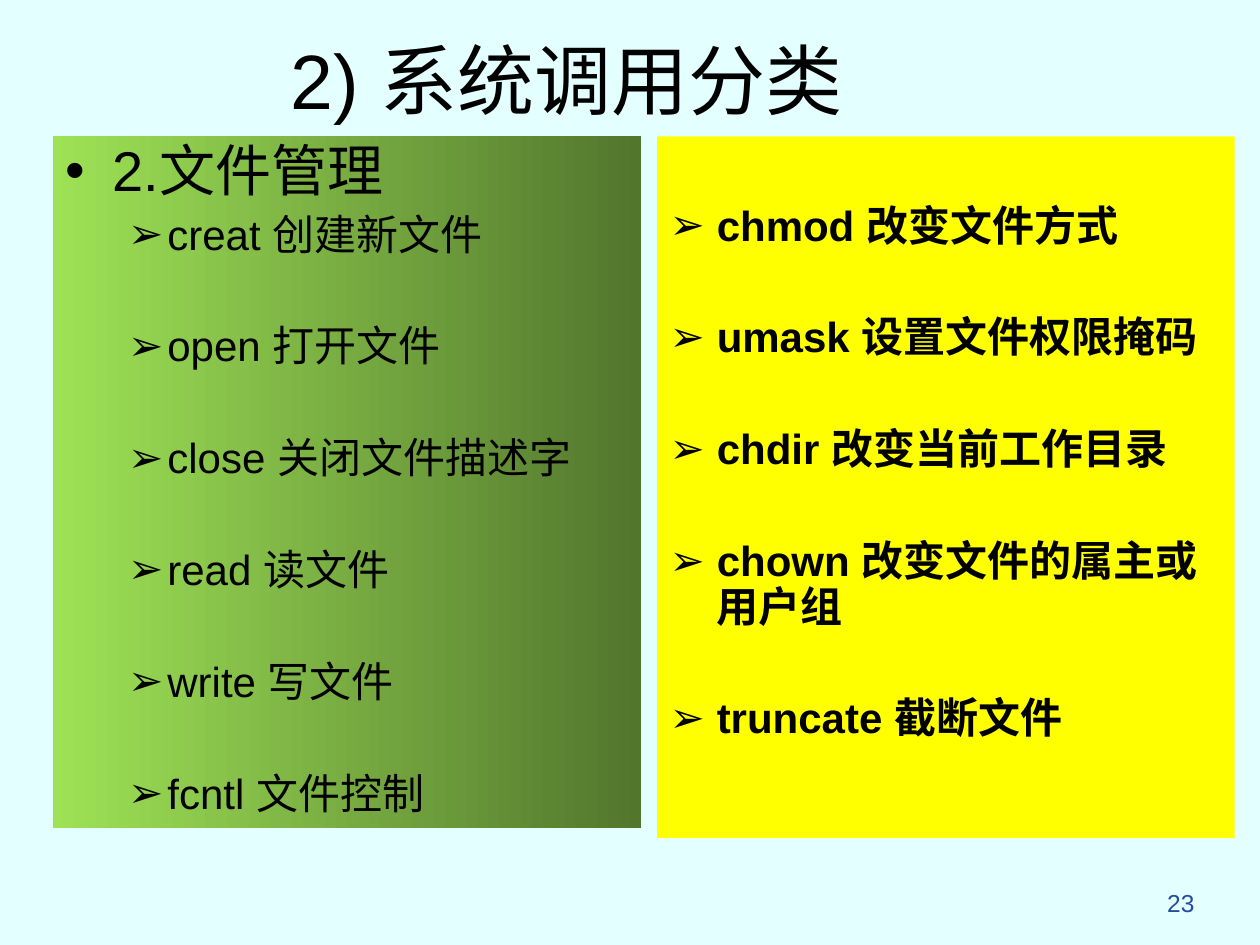
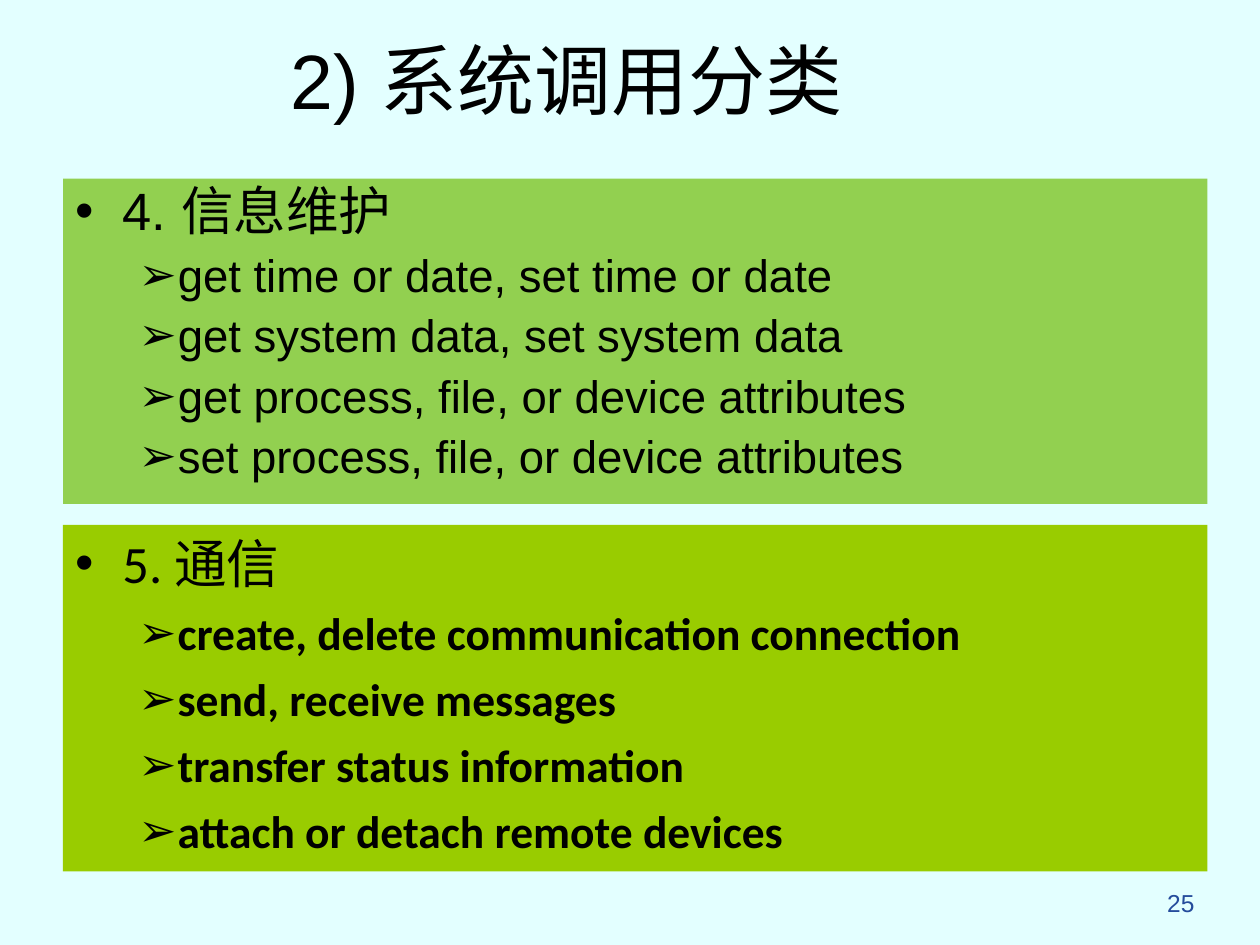
from lxml import etree
from pptx import Presentation
from pptx.dml.color import RGBColor
from pptx.enum.text import MSO_ANCHOR, MSO_AUTO_SIZE, PP_ALIGN
from pptx.oxml.ns import qn
from pptx.util import Cm, Pt

TOP, MIDDLE = MSO_ANCHOR.TOP, MSO_ANCHOR.MIDDLE
CENTER, LEFT, RIGHT = PP_ALIGN.CENTER, PP_ALIGN.LEFT, PP_ALIGN.RIGHT
NO_AUTOFIT = MSO_AUTO_SIZE.NONE

PALE_CYAN = RGBColor(0xE3, 0xFF, 0xFF)
BLACK = RGBColor(0x00, 0x00, 0x00)
NUMBER_BLUE = RGBColor(0x25, 0x4C, 0x9C)
LIGHT_GREEN = RGBColor(0x9E, 0xE2, 0x56)
DARK_GREEN = RGBColor(0x52, 0x76, 0x2D)
YELLOW = RGBColor(0xFF, 0xFF, 0x00)
SOFT_GREEN = RGBColor(0x92, 0xD0, 0x50)
LIME = RGBColor(0x99, 0xCC, 0x00)

TITLE = "2) 系统调用分类"
DOT, ARROW = "•", "➢"
HEADING_INDENT = (Cm(0.95), Cm(-0.95))
ITEM_INDENT = (Cm(2.06), Cm(-0.79))

FILE_CALLS = ["creat 创建新文件", "open 打开文件", "close 关闭文件描述字",
              "read 读文件", "write 写文件", "fcntl 文件控制"]
FILE_ATTRIBUTE_CALLS = ["chmod 改变文件方式", "umask 设置文件权限掩码",
                        "chdir 改变当前工作目录", "chown 改变文件的属主或用户组",
                        "truncate 截断文件"]
INFORMATION_CALLS = ["get time or date, set time or date",
                     "get system data, set system data",
                     "get process, file, or device attributes",
                     "set process, file, or device attributes"]
COMMUNICATION_CALLS = ["create, delete communication connection",
                       "send, receive messages",
                       "transfer status information",
                       "attach or detach remote devices"]


def place(shape, left, top, width, height):
    shape.left, shape.top = Cm(left), Cm(top)
    shape.width, shape.height = Cm(width), Cm(height)


def format_runs(paragraph, size, color=BLACK, font="Arial", bold=False):
    for span in paragraph.runs:
        span.font.name = font
        span.font.size = Pt(size)
        span.font.bold = bold
        span.font.color.rgb = color


def set_bullet(paragraph, symbol, indent):
    properties = paragraph._p.get_or_add_pPr()
    margin, hanging = indent
    properties.set("marL", str(margin))
    properties.set("indent", str(hanging))
    bullet_color = etree.SubElement(properties, qn("a:buClr"))
    etree.SubElement(bullet_color, qn("a:srgbClr"), val=str(BLACK))
    etree.SubElement(properties, qn("a:buFont"), typeface="Arial")
    etree.SubElement(properties, qn("a:buChar"), char=symbol)


def fill_panel(panel, *colors):
    """Fill with one plain colour, or with a gradient from left to right."""
    if len(colors) == 1:
        panel.fill.solid()
        panel.fill.fore_color.rgb = colors[0]
        return
    panel.fill.gradient()
    panel.fill.gradient_angle = 0
    for stop, color in zip(panel.fill.gradient_stops, colors):
        stop.color.rgb = color


def write_list(panel, items, size, gap, heading=None, heading_size=30,
               first_gap=None, indent=ITEM_INDENT, line_spacing=0.9,
               font="Arial", bold=False):
    """Write an optional heading and arrow items; gap is the space before an item."""
    frame = panel.text_frame
    frame.word_wrap = True
    frame.auto_size = NO_AUTOFIT
    frame.vertical_anchor = TOP
    lines = ([heading] if heading else []) + items
    frame.text = "\n".join(lines)
    for position, paragraph in enumerate(frame.paragraphs):
        is_heading = bool(heading) and position == 0
        paragraph.level = 0 if is_heading else 1
        paragraph.alignment = LEFT
        paragraph.line_spacing = line_spacing
        is_second = position == 1 and first_gap is not None
        paragraph.space_before = Pt(0 if position == 0 else first_gap if is_second else gap)
        if is_heading:
            set_bullet(paragraph, DOT, HEADING_INDENT)
            format_runs(paragraph, heading_size, font=font)
        else:
            set_bullet(paragraph, ARROW, indent)
            format_runs(paragraph, size, font=font, bold=bold)


def add_text_panel(slide, left, top, width, height):
    return slide.shapes.add_textbox(Cm(left), Cm(top), Cm(width), Cm(height))


def add_page_number(slide, number):
    box = add_text_panel(slide, 19.05, 17.78, 5.28, 1.27)
    box.text_frame.word_wrap = True
    box.text_frame.text = str(number)
    paragraph = box.text_frame.paragraphs[0]
    paragraph.alignment = RIGHT
    format_runs(paragraph, 14, NUMBER_BLUE)


def add_titled_slide(deck, layout, number):
    slide = deck.slides.add_slide(layout)
    add_page_number(slide, number)
    title = slide.shapes.title
    title.text_frame.text = TITLE
    title.text_frame.vertical_anchor = MIDDLE
    title.text_frame.auto_size = NO_AUTOFIT
    paragraph = title.text_frame.paragraphs[0]
    paragraph.alignment = CENTER
    format_runs(paragraph, 44)
    return slide


def add_file_slide(deck, layout):
    slide = add_titled_slide(deck, layout, 23)
    files = slide.placeholders[1]
    place(files, 1.06, 2.75, 11.86, 13.95)
    fill_panel(files, LIGHT_GREEN, DARK_GREEN)
    write_list(files, FILE_CALLS, 24, gap=38, heading="2.文件管理",
               heading_size=32, first_gap=6)

    attributes = add_text_panel(slide, 13.25, 2.75, 11.64, 14.15)
    fill_panel(attributes, YELLOW)
    attributes.text_frame.margin_top = Cm(1.38)
    write_list(attributes, FILE_ATTRIBUTE_CALLS, 24, gap=38,
               indent=HEADING_INDENT, bold=True)


def add_information_slide(deck, layout):
    slide = add_titled_slide(deck, layout, 25)
    information = slide.placeholders[1]
    place(information, 1.27, 3.6, 23.07, 6.56)
    fill_panel(information, SOFT_GREEN)
    write_list(information, INFORMATION_CALLS, 26, gap=6.5, heading="4. 信息维护")

    communication = add_text_panel(slide, 1.27, 10.58, 23.07, 6.99)
    fill_panel(communication, LIME)
    write_list(communication, COMMUNICATION_CALLS, 26, gap=6.5, heading="5. 通信",
               line_spacing=1.0, font="Calibri", bold=True)


def main():
    deck = Presentation()
    deck.slide_width, deck.slide_height = Cm(25.4), Cm(19.05)
    background = deck.slide_master.background.fill
    background.solid()
    background.fore_color.rgb = PALE_CYAN
    layout = deck.slide_layouts.get_by_name("Title and Content")
    place(layout.placeholders[0], 0, 0, 22.86, 3.18)
    add_file_slide(deck, layout)
    add_information_slide(deck, layout)
    deck.save("out.pptx")


if __name__ == "__main__":
    main()
